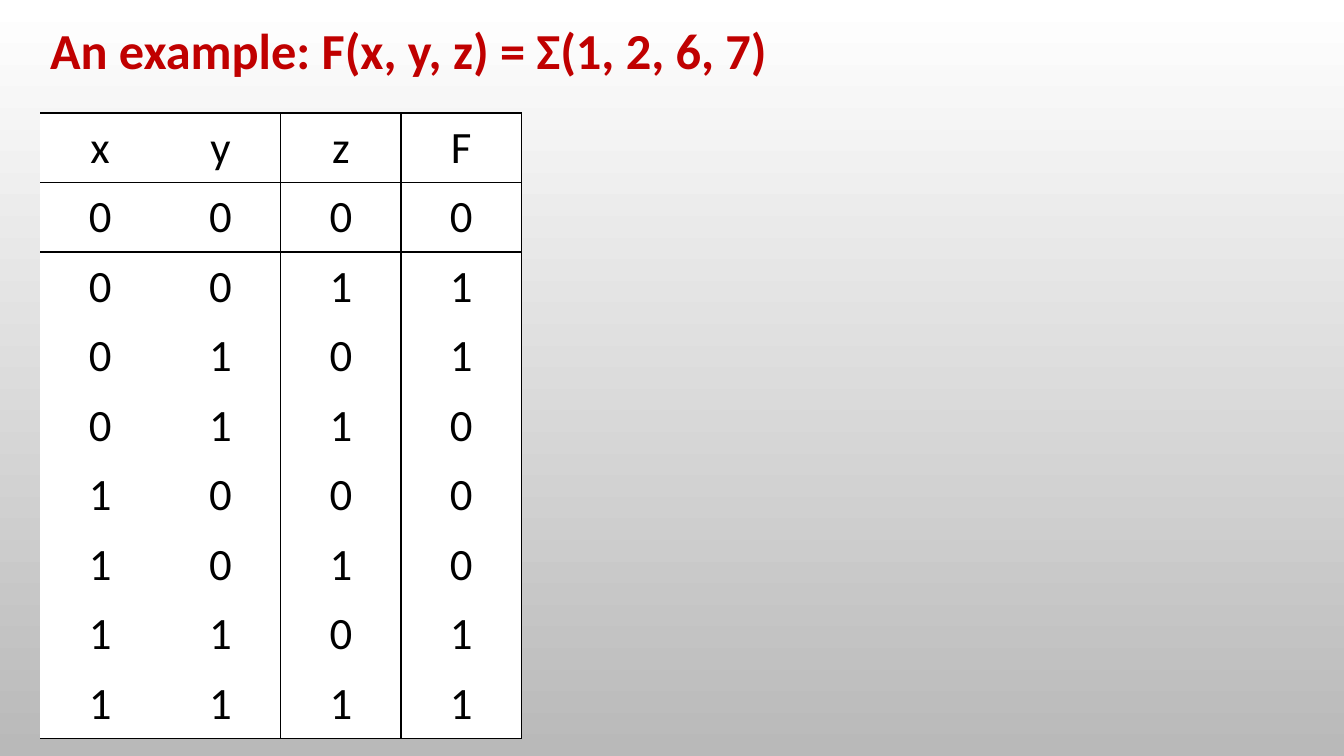
import pptx
import pptx.dml.color
import pptx.enum.text
import pptx.util
import lxml.etree
import pptx.oxml.ns

# Content
TITLE = "An example: F(x, y, z) = Σ(1, 2, 6, 7)"
HEADINGS = ["x", "y", "z", "F"]
MINTERMS = (1, 2, 3, 6, 7)
OUTPUTS = [0, 1, 1, 0, 0, 0, 1, 1]
TRUTH_ROWS = [HEADINGS] + [
    [str(number >> 2 & 1), str(number >> 1 & 1), str(number & 1), str(output)]
    for number, output in enumerate(OUTPUTS)
]

# Layout in px
PAGE_SIZE = (1344, 756)
TITLE_AREA = (40, 14, 819, 72)
TABLE_AREA = (40, 113, 602, 626)
COLUMN_COUNT = 5  # the last column is empty
RULED_COLUMNS = (2, 3)
RULED_ROWS = (0, 1, len(TRUTH_ROWS))
EMU_PER_PX = 914400 / 100.8
FONT = "Calibri"
COLORS = {"title": "C00000", "ink": "000000", "cell": "FFFFFF",
          "top": "FFFFFF", "bottom": "B9B9B9"}
NO_STYLE = "{2D5ABB26-0587-4C30-8999-92F81FD0307C}"


def emu(pixels):
    return pptx.util.Emu(round(pixels * EMU_PER_PX))


def color(name):
    return pptx.dml.color.RGBColor.from_string(COLORS[name])


def add_span(para, text, size, ink, bold=False):
    span = para.add_run()
    span.text = text
    span.font.name = FONT
    span.font.size = pptx.util.Pt(size)
    span.font.bold = bold
    span.font.color.rgb = color(ink)


def add_border(cell, side):
    properties = cell._tc.get_or_add_tcPr()
    line = lxml.etree.SubElement(properties, pptx.oxml.ns.qn("a:ln" + side),
                                 w=str(pptx.util.Pt(1)))
    fill = lxml.etree.SubElement(line, pptx.oxml.ns.qn("a:solidFill"))
    lxml.etree.SubElement(fill, pptx.oxml.ns.qn("a:srgbClr"), val=COLORS["ink"])


def add_title(page):
    box = page.shapes.title
    box.left, box.top, box.width, box.height = map(emu, TITLE_AREA)
    frame = box.text_frame
    frame.word_wrap = False
    frame.auto_size = pptx.enum.text.MSO_AUTO_SIZE.SHAPE_TO_FIT_TEXT
    frame.vertical_anchor = pptx.enum.text.MSO_ANCHOR.TOP
    para = frame.paragraphs[0]
    para.alignment = pptx.enum.text.PP_ALIGN.LEFT
    add_span(para, TITLE, 36, "title", bold=True)


def fill_cell(cell, text):
    cell.vertical_anchor = pptx.enum.text.MSO_ANCHOR.MIDDLE
    cell.fill.solid()
    cell.fill.fore_color.rgb = color("cell")
    para = cell.text_frame.paragraphs[0]
    para.alignment = pptx.enum.text.PP_ALIGN.CENTER
    add_span(para, text, 32, "ink")


def add_truth_table(page):
    row_count = len(TRUTH_ROWS)
    table = page.shapes.add_table(row_count, COLUMN_COUNT, *map(emu, TABLE_AREA)).table
    table.first_row = table.horz_banding = False
    table._tbl.tblPr.find(pptx.oxml.ns.qn("a:tableStyleId")).text = NO_STYLE
    for column in table.columns:
        column.width = emu(TABLE_AREA[2] / COLUMN_COUNT)
    for row in table.rows:
        row.height = emu(TABLE_AREA[3] / row_count)
    for row, values in enumerate(TRUTH_ROWS):
        for column, text in enumerate(values):
            cell = table.cell(row, column)
            edges = (("L", column in RULED_COLUMNS), ("R", column + 1 in RULED_COLUMNS),
                     ("T", row in RULED_ROWS), ("B", row + 1 in RULED_ROWS))
            for side, ruled in edges:
                if ruled:
                    add_border(cell, side)
            fill_cell(cell, text)


def main():
    deck = pptx.Presentation()
    deck.slide_width, deck.slide_height = map(emu, PAGE_SIZE)
    page = deck.slides.add_slide(deck.slide_layouts[5])

    # Background, light at the top
    backdrop = page.background.fill
    backdrop.gradient()
    backdrop.gradient_angle = 270
    for stop, name in zip(backdrop.gradient_stops, ("top", "bottom")):
        stop.color.rgb = color(name)

    add_title(page)
    add_truth_table(page)
    deck.save("out.pptx")


if __name__ == "__main__":
    main()
